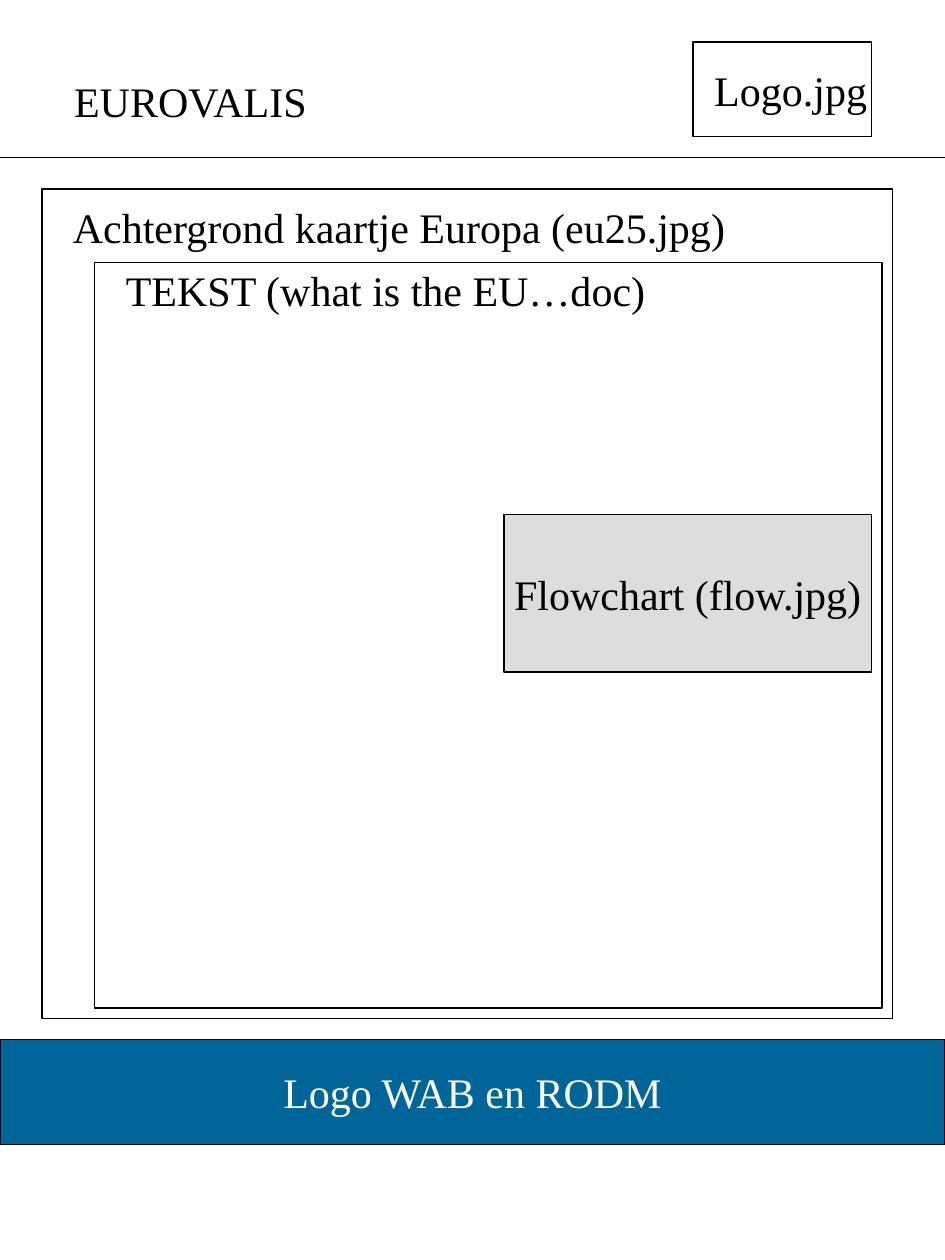
from dataclasses import dataclass
from typing import Optional

from lxml import etree
from pptx import Presentation
from pptx import util as u
from pptx.dml.color import RGBColor
from pptx.enum import shapes, text
from pptx.oxml.ns import qn


@dataclass(frozen=True)
class Theme:
    font: str = "Times New Roman"
    size: float = 24
    outline: float = 0.75
    ink: str = "000000"
    paper: str = "FFFFFF"
    banner: str = "006699"
    flowchart: str = "DDDDDD"


@dataclass(frozen=True)
class Panel:
    column: int
    row: int
    columns: int
    rows: int
    fill: Optional[str] = None
    caption: str = ""
    ink: str = "000000"


@dataclass(frozen=True)
class Label:
    left: float
    top: float
    width: float
    words: str


THEME = Theme()
COLUMNS, ROWS = 90, 120
CELL = u.Inches(7.5) // COLUMNS
LABEL_HEIGHT = 0.5

BANNER = Panel(0, 99, COLUMNS, 10, THEME.banner, "Logo WAB en RODM", THEME.paper)
MAP_FRAME = Panel(4, 18, 81, 79)
TEXT_FRAME = Panel(9, 25, 75, 71)
FLOWCHART = Panel(48, 49, 35, 15, THEME.flowchart, "Flowchart (flow.jpg)")
LOGO_FRAME = Panel(66, 4, 17, 9)
HEADER_ROW = 15

TITLE = Label(0.49, 0.55, 2.07, "EUROVALIS")
MAP_LABEL = Label(0.48, 1.55, 5.38, "Achtergrond kaartje Europa (eu25.jpg)")
TEXT_LABEL = Label(0.9, 2.05, 4.41, "TEKST (what is the EU…doc)")
LOGO_LABEL = Label(5.57, 0.46, 1.41, "Logo.jpg")


def write(frame, words: str, *, ink: str = THEME.ink,
          align=text.PP_ALIGN.LEFT, anchor=text.MSO_ANCHOR.TOP) -> None:
    frame.word_wrap = False
    frame.vertical_anchor = anchor
    paragraph = frame.paragraphs[0]
    paragraph.alignment = align
    run = paragraph.add_run()
    run.text = words
    run.font.name = THEME.font
    run.font.size = u.Pt(THEME.size)
    run.font.color.rgb = RGBColor.from_string(ink)


def outline(line) -> None:
    line.color.rgb = RGBColor.from_string(THEME.ink)
    line.width = u.Pt(THEME.outline)


def draw_panel(slide, panel: Panel) -> None:
    box = slide.shapes.add_shape(
        shapes.MSO_SHAPE.RECTANGLE, panel.column * CELL, panel.row * CELL,
        panel.columns * CELL, panel.rows * CELL)
    box.shadow.inherit = False
    outline(box.line)
    if panel.fill:
        box.fill.solid()
        box.fill.fore_color.rgb = RGBColor.from_string(panel.fill)
    else:
        box.fill.background()
    if panel.caption:
        write(box.text_frame, panel.caption, ink=panel.ink,
              align=text.PP_ALIGN.CENTER, anchor=text.MSO_ANCHOR.MIDDLE)


def draw_label(slide, label: Label) -> None:
    box = slide.shapes.add_textbox(
        *map(u.Inches, (label.left, label.top, label.width, LABEL_HEIGHT)))
    write(box.text_frame, label.words)
    box.text_frame.auto_size = text.MSO_AUTO_SIZE.SHAPE_TO_FIT_TEXT


def draw_rule(slide, row: int) -> None:
    rule = slide.shapes.add_connector(
        shapes.MSO_CONNECTOR.STRAIGHT, 0, row * CELL, COLUMNS * CELL, row * CELL)
    outline(rule.line)
    etree.SubElement(rule._element.spPr, qn("a:effectLst"))


def main() -> None:
    deck = Presentation()
    deck.slide_width, deck.slide_height = COLUMNS * CELL, ROWS * CELL
    slide = deck.slides.add_slide(deck.slide_layouts[6])
    slide.background.fill.solid()
    slide.background.fill.fore_color.rgb = RGBColor.from_string(THEME.paper)

    draw_panel(slide, BANNER)
    draw_rule(slide, HEADER_ROW)
    draw_label(slide, TITLE)
    for part in (MAP_FRAME, MAP_LABEL, TEXT_FRAME, TEXT_LABEL,
                 FLOWCHART, LOGO_FRAME, LOGO_LABEL):
        draw = draw_panel if isinstance(part, Panel) else draw_label
        draw(slide, part)
    deck.save("out.pptx")


if __name__ == "__main__":
    main()
